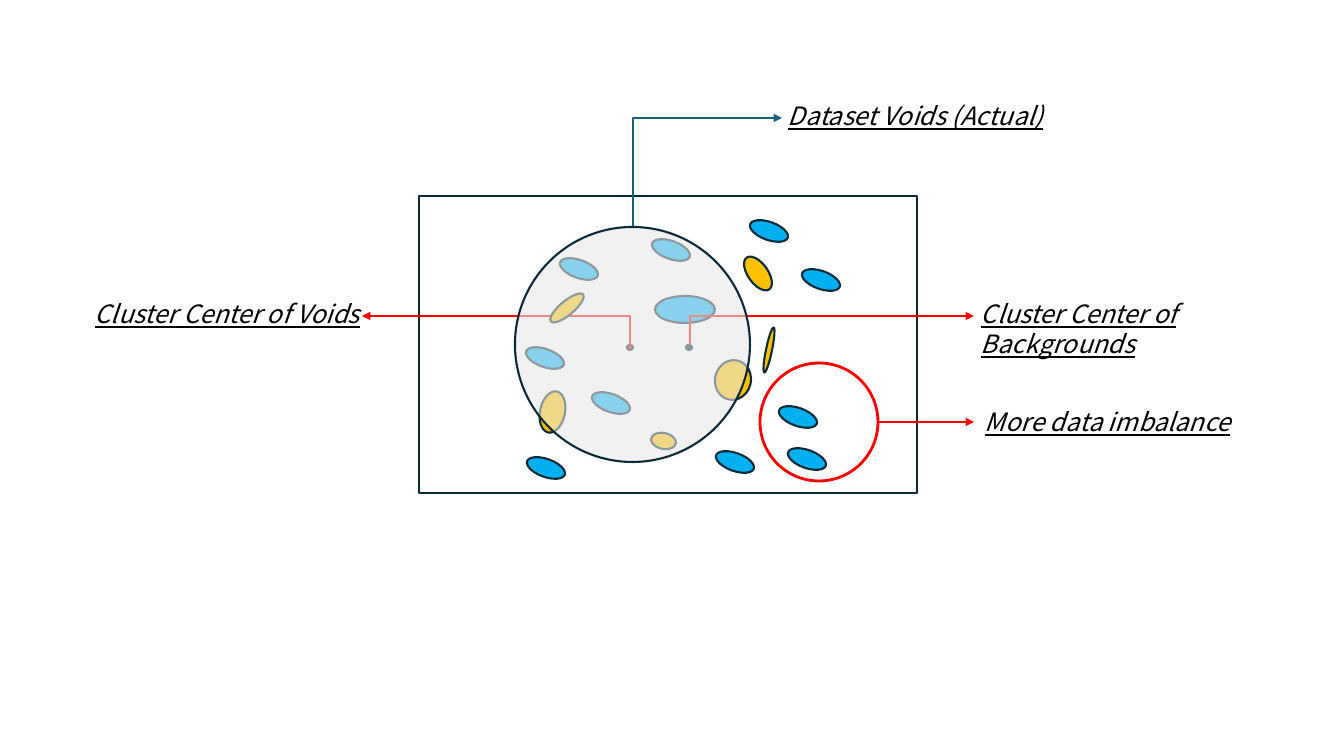
import dataclasses

import lxml.etree
import pptx
import pptx.dml.color
import pptx.enum.shapes
import pptx.enum.text
import pptx.oxml.ns
import pptx.util

SCALE = 914400 / 100.8  # EMU per px
PRESET = pptx.enum.shapes.MSO_SHAPE
CONNECTOR = pptx.enum.shapes.MSO_CONNECTOR


@dataclasses.dataclass(frozen=True)
class Theme:
    outline: str = "092A39"
    void: str = "FFC000"
    background: str = "00B0F0"
    void_center: str = "FF0000"
    background_center: str = "002060"
    cluster: str = "E8E8E8"
    cluster_opacity: int = 59
    callout: str = "FF0000"
    dataset: str = "156082"
    text: str = "000000"
    font: str = "Noto Sans CJK SC"
    label_size: float = 18
    line_width: float = 1.5
    highlight_width: float = 2


THEME = Theme()

# Ellipses: left, top, width, height, rotation
FIRST_VOID = (540, 391, 25, 42, 11.7)
VOIDS = [
    (715, 360, 36, 40, 11.7),
    (560, 287, 14, 42, 50.2),
    (651, 433, 25, 16, 11.7),
    (748, 254, 20, 39, 324.5),
    (766, 327, 6, 46, 11.7),
]
LARGE_BACKGROUND = (655, 296, 60, 27)
# Equal background ellipses: left, top
FIRST_BACKGROUND = (559, 260)
COVERED_BACKGROUNDS = [(525, 349), (591, 394), (715, 453), (651, 241)]
OPEN_BACKGROUNDS = [(526, 459), (778, 408), (749, 222), (801, 271), (787, 450)]


def px(length):
    return pptx.util.Emu(round(length * SCALE))


def color(value):
    return pptx.dml.color.RGBColor.from_string(value)


def add_child(parent, tag, **attributes):
    return lxml.etree.SubElement(parent, pptx.oxml.ns.qn(tag), **attributes)


def add_outlined_shape(slide, preset, box, fill=None, rotation=0,
                       line=THEME.outline, width=THEME.line_width):
    shape = slide.shapes.add_shape(preset, *map(px, box))
    shape.shadow.inherit = False
    shape.rotation = rotation
    if fill:
        shape.fill.solid()
        shape.fill.fore_color.rgb = color(fill)
    else:
        shape.fill.background()
    shape.line.color.rgb = color(line)
    shape.line.width = pptx.util.Pt(width)
    return shape


def add_ellipse(slide, box, fill=None, rotation=0, **line_style):
    return add_outlined_shape(slide, PRESET.FLOWCHART_CONNECTOR, box, fill,
                              rotation, **line_style)


def add_void(slide, left, top, width, height, rotation):
    add_ellipse(slide, (left, top, width, height), THEME.void, rotation)


def add_background(slide, left, top):
    add_ellipse(slide, (left, top, 40, 18), THEME.background, 19.7)


def set_opacity(shape, percent):
    fill_color = shape._element.spPr.find(
        pptx.oxml.ns.qn("a:solidFill") + "/" + pptx.oxml.ns.qn("a:srgbClr"))
    add_child(fill_color, "a:alpha", val=str(percent * 1000))


def add_arrow(slide, kind, start, end, line):
    connector = slide.shapes.add_connector(kind, *map(px, start + end))
    connector.line.color.rgb = color(line)
    connector.line.width = pptx.util.Pt(THEME.line_width)
    properties = connector._element.spPr
    add_child(properties.find(pptx.oxml.ns.qn("a:ln")), "a:tailEnd", type="triangle")
    add_child(properties, "a:effectLst")
    return connector


def add_rising_arrow(slide, start, end, line):
    """Go straight up from start, then sideways to end."""
    center_x, center_y = (start[0] + end[0]) / 2, (start[1] + end[1]) / 2
    side = 1 if end[0] > start[0] else -1
    # The frame lies on its side and a quarter turn sets it upright
    reach_x = side * (start[1] - end[1]) / 2
    reach_y = abs(end[0] - start[0]) / 2
    connector = add_arrow(slide, CONNECTOR.ELBOW,
                          (center_x + reach_x, center_y + reach_y),
                          (center_x - reach_x, center_y - reach_y), line)
    properties = connector._element.spPr
    properties.find(pptx.oxml.ns.qn("a:prstGeom")).set("prst", "bentConnector2")
    quarter_turn = 90 if side > 0 else 270
    properties.find(pptx.oxml.ns.qn("a:xfrm")).set("rot", str(quarter_turn * 60000))


def add_label(slide, text, left, top, width=358):
    box = slide.shapes.add_textbox(px(left), px(top), px(width), px(40))
    text_frame = box.text_frame
    text_frame.word_wrap = True
    text_frame.auto_size = pptx.enum.text.MSO_AUTO_SIZE.SHAPE_TO_FIT_TEXT
    text_frame.text = text
    font = text_frame.paragraphs[0].runs[0].font
    font.name = THEME.font
    font.size = pptx.util.Pt(THEME.label_size)
    font.italic = True
    font.underline = True
    font.color.rgb = color(THEME.text)


def main():
    presentation = pptx.Presentation()
    presentation.slide_width = px(1344)
    presentation.slide_height = px(756)
    slide = presentation.slides.add_slide(presentation.slide_layouts[6])

    # Data frame and cluster centers
    add_outlined_shape(slide, PRESET.FLOWCHART_PROCESS, (419, 196, 498, 297))
    add_void(slide, *FIRST_VOID)
    add_ellipse(slide, LARGE_BACKGROUND, THEME.background)
    add_background(slide, *FIRST_BACKGROUND)
    add_ellipse(slide, (627, 345, 6, 5), THEME.void_center)
    add_ellipse(slide, (686, 345, 6, 5), THEME.background_center)

    # Bent callouts
    add_rising_arrow(slide, (630, 345), (362, 316), THEME.callout)
    add_label(slide, "Cluster Center of Voids", 85, 293, 299)
    add_rising_arrow(slide, (690, 345), (974, 316), THEME.callout)
    add_label(slide, "Cluster Center of Backgrounds", 971, 293)
    add_rising_arrow(slide, (633, 227), (782, 118), THEME.dataset)
    add_label(slide, "Dataset Voids (Actual)", 778, 95)

    # Data points, with the translucent cluster over the covered ones
    for void in VOIDS:
        add_void(slide, *void)
    for position in COVERED_BACKGROUNDS:
        add_background(slide, *position)
    cluster = add_ellipse(slide, (515, 227, 235, 235), THEME.cluster)
    set_opacity(cluster, THEME.cluster_opacity)
    for position in OPEN_BACKGROUNDS:
        add_background(slide, *position)

    # Imbalance highlight
    add_ellipse(slide, (760, 363, 118, 118), line=THEME.callout,
                width=THEME.highlight_width)
    add_arrow(slide, CONNECTOR.STRAIGHT, (878, 422), (974, 422), THEME.callout)
    add_label(slide, "More data imbalance", 975, 401)

    presentation.save("out.pptx")


if __name__ == "__main__":
    main()
